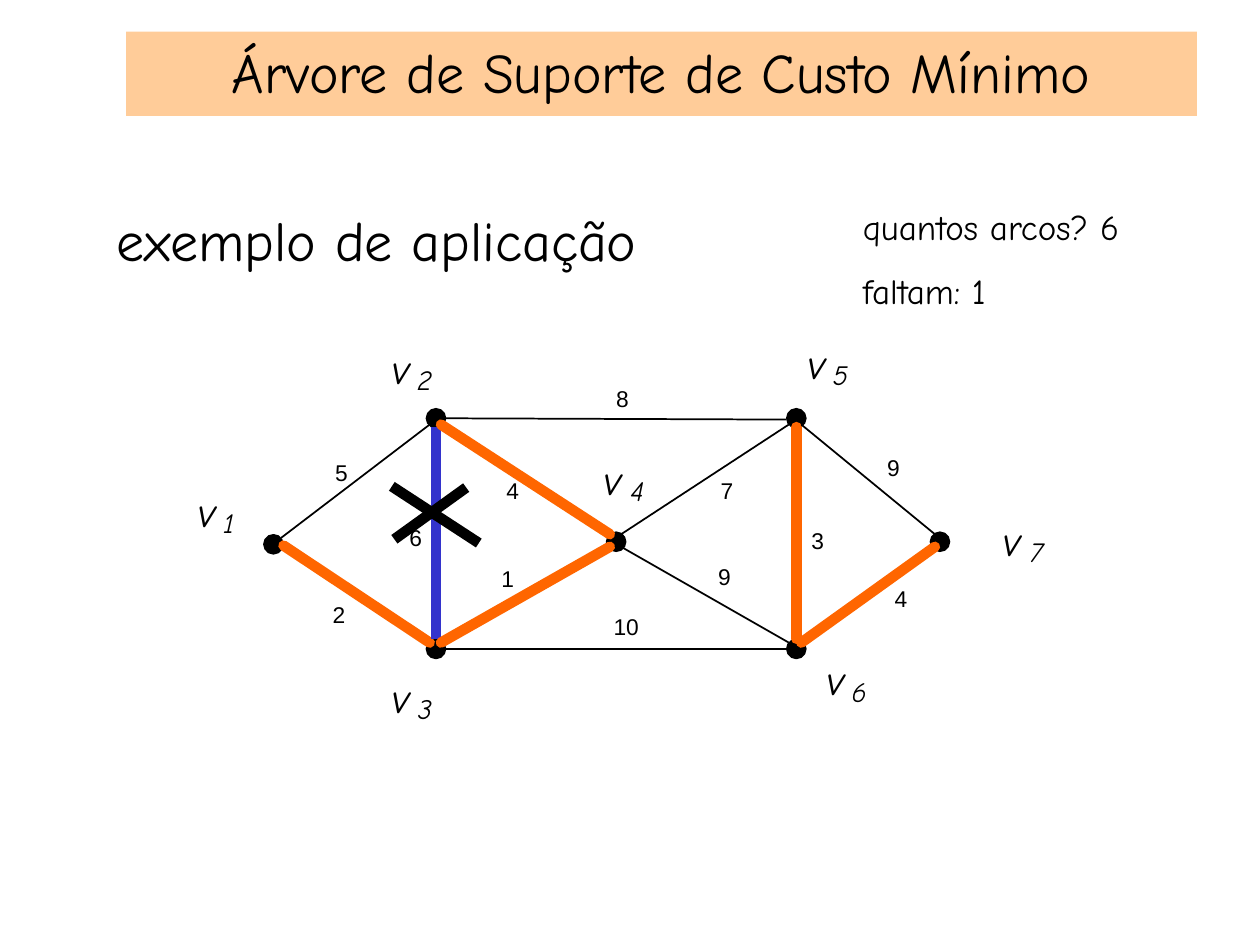
from lxml.etree import SubElement
from pptx import Presentation
from pptx.dml.color import RGBColor
from pptx.enum.shapes import MSO_CONNECTOR as Connector, MSO_SHAPE as Shape
from pptx.enum.text import MSO_ANCHOR as Anchor, MSO_AUTO_SIZE as AutoSize, PP_ALIGN as Align
from pptx.oxml.ns import qn
from pptx.util import Inches, Pt

BLACK, PEACH, ORANGE, BLUE = "000000", "FFCC99", "FF6600", "3333CC"
HAND, PLAIN = "Comic Neue", "Arial"

VERTICES = [
    (1, (2.17, 4.32), (1.57, 3.85)),
    (2, (3.46, 3.32), (3.11, 2.72)),
    (3, (3.46, 5.15), (3.11, 5.33)),
    (4, (4.89, 4.3), (4.79, 3.6)),
    (5, (6.32, 3.32), (6.41, 2.68)),
    (6, (6.32, 5.15), (6.56, 5.19)),
    (7, (7.46, 4.3), (7.96, 4.08)),
]

TREE, REJECTED, UNUSED = (ORANGE, 6, "rnd"), (BLUE, 6, "flat"), (BLACK, 1, "flat")
EDGES = [
    (2, TREE, (2.25, 4.33), (3.41, 5.1), (2.64, 4.77)),
    (6, REJECTED, (3.46, 5.07), (3.46, 3.39), (3.25, 4.16)),
    (4, TREE, (3.5, 3.37), (4.84, 4.24), (4.02, 3.78)),
    (7, UNUSED, (4.93, 4.24), (6.26, 3.37), (5.72, 3.78)),
    (10, UNUSED, (3.53, 5.15), (6.24, 5.15), (4.87, 4.86)),
    (9, UNUSED, (6.26, 5.1), (4.93, 4.34), (5.7, 4.47)),
    (5, UNUSED, (2.23, 4.27), (3.41, 3.37), (2.66, 3.64)),
    (8, UNUSED, (3.53, 3.32), (6.24, 3.33), (4.89, 3.05)),
    (1, TREE, (3.5, 5.1), (4.84, 4.34), (3.98, 4.48)),
    (3, TREE, (6.32, 3.39), (6.32, 5.07), (6.44, 4.18)),
    (9, UNUSED, (6.36, 3.37), (7.42, 4.24), (7.04, 3.6)),
    (4, TREE, (6.36, 5.1), (7.42, 4.34), (7.1, 4.64)),
]
CROSS = [((3.11, 3.86), (3.8, 4.31)), ((3.7, 3.87), (3.13, 4.28))]


def color(hex_value):
    return RGBColor.from_string(hex_value)


def apply(target, values):
    for name, value in values.items():
        setattr(target, name, value)


class GraphSlide:
    frame_format = {"margin_left": Inches(0.1), "margin_right": Inches(0.1),
                    "margin_top": Inches(0.05), "margin_bottom": Inches(0.05),
                    "vertical_anchor": Anchor.TOP, "word_wrap": True,
                    "auto_size": AutoSize.NONE}
    label_format = {"margin_left": 0, "margin_right": 0, "margin_top": 0,
                    "margin_bottom": 0, "word_wrap": False,
                    "auto_size": AutoSize.SHAPE_TO_FIT_TEXT}
    node_size = 0.15

    def __init__(self, presentation):
        self.slide = presentation.slides.add_slide(presentation.slide_layouts[5])
        self.shapes = self.slide.shapes

    def fill_text(self, frame, lines, size, font=HAND, align=Align.LEFT, italic=False, gap=0):
        for index, line in enumerate(lines):
            paragraph = frame.paragraphs[0] if index == 0 else frame.add_paragraph()
            paragraph.text = line
            paragraph.alignment = align
            paragraph.space_before = Pt(gap if index else 0)
            apply(paragraph.font, {"name": font, "size": Pt(size), "italic": italic})
            paragraph.font.color.rgb = color(BLACK)

    def title(self, text, left, top, width, height):
        heading = self.shapes.title
        apply(heading, {"left": Inches(left), "top": Inches(top),
                        "width": Inches(width), "height": Inches(height)})
        heading.fill.solid()
        heading.fill.fore_color.rgb = color(PEACH)
        apply(heading.text_frame, self.frame_format)
        self.fill_text(heading.text_frame, [text], 32, align=Align.CENTER)

    def text(self, lines, left, top, width, height, size, gap=0):
        box = self.shapes.add_textbox(*map(Inches, (left, top, width, height)))
        apply(box.text_frame, self.frame_format)
        self.fill_text(box.text_frame, lines, size, gap=gap)

    def label(self, text, left, top, width, height, size, font=HAND, italic=False):
        box = self.shapes.add_textbox(*map(Inches, (left, top, width, height)))
        apply(box.text_frame, self.label_format)
        self.fill_text(box.text_frame, [text], size, font, Align.RIGHT, italic)

    def vertex_name(self, number, left, top):
        self.label("v", left, top, 0.14, 0.4, 24, italic=True)
        width = 0.09 if number == 1 else 0.12
        self.label(str(number), left + 0.2, top + 0.16, width, 0.27, 16, italic=True)

    def weight(self, value, left, top):
        digits = str(value)
        self.label(digits, left, top, 0.1 * len(digits), 0.22, 13, PLAIN)

    def node(self, x, y):
        size = self.node_size
        dot = self.shapes.add_shape(Shape.OVAL, Inches(x - size / 2), Inches(y - size / 2),
                                    Inches(size), Inches(size))
        dot.shadow.inherit = False
        dot.fill.solid()
        dot.fill.fore_color.rgb = color(BLACK)
        dot.line.color.rgb = color(BLACK)
        dot.line.width = Pt(1)

    def line(self, start, end, stroke, width, cap, shapes=None):
        target = self.shapes if shapes is None else shapes
        edge = target.add_connector(Connector.STRAIGHT, *map(Inches, (*start, *end)))
        edge.line.color.rgb = color(stroke)
        edge.line.width = Pt(width)
        properties = edge._element.spPr
        properties.find(qn("a:ln")).set("cap", cap)
        SubElement(properties, qn("a:effectLst"))

    def cross(self, strokes):
        group = self.shapes.add_group_shape()
        for start, end in strokes:
            self.line(start, end, BLACK, 6, "flat", group.shapes)


def main():
    presentation = Presentation()
    apply(presentation, {"slide_width": Inches(10), "slide_height": Inches(7.5)})
    graph = GraphSlide(presentation)
    graph.title("Árvore de Suporte de Custo Mínimo", 1, 0.25, 8.5, 0.67)
    graph.text(["exemplo de aplicação"], 0.83, 1.58, 5.5, 0.7, 32)
    for number, center, name_at in VERTICES:
        graph.node(*center)
        graph.vertex_name(number, *name_at)
    for value, style, start, end, weight_at in EDGES:
        graph.line(start, end, *style)
        graph.weight(value, *weight_at)
    graph.text(["quantos arcos? 6", "faltam: 1"], 6.75, 1.58, 2.58, 0.94, 20, gap=12.5)
    graph.cross(CROSS)
    presentation.save("out.pptx")


if __name__ == "__main__":
    main()
